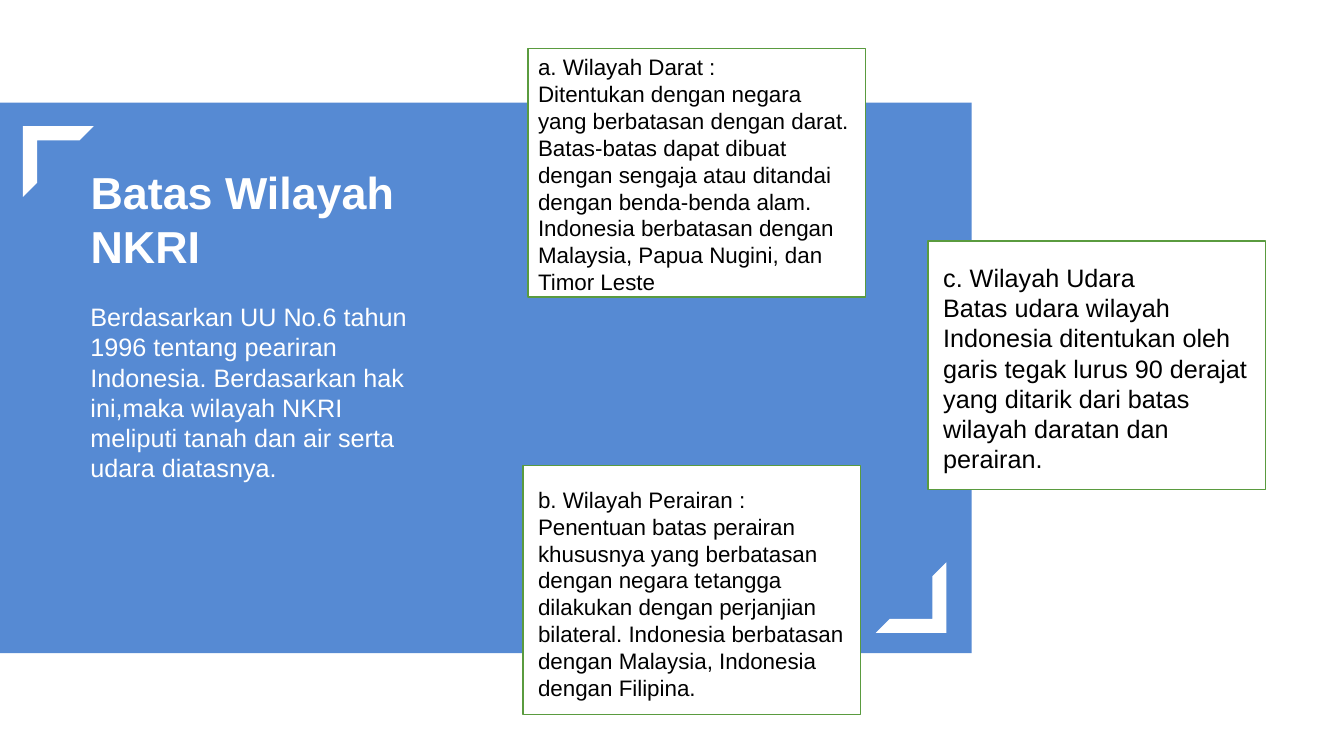
"""Build the slide on the borders of the territory of NKRI."""
import pptx
import pptx.util
from pptx.dml.color import RGBColor
from pptx.enum.shapes import MSO_SHAPE
from pptx.enum.text import MSO_ANCHOR, MSO_AUTO_SIZE, PP_ALIGN

Cm = pptx.util.Cm

BLUE, GREEN, WHITE, BLACK = "568AD3", "5A9B3F", "FFFFFF", "000000"
SLIDE_SIZE = (33.87, 19.05)
PANEL = (0, 2.59, 24.49, 13.87)
BRACKET_SIZE = 1.78
BRACKETS = [(0.58, 3.18, 0), (22.07, 14.17, 180)]
TITLE = "Batas Wilayah NKRI"
TITLE_PLACE = (2.03, 4.01, 9.53, 3)
INTRO = (
    "Berdasarkan UU No.6 tahun 1996 tentang peariran Indonesia. Berdasarkan hak "
    "ini,maka wilayah NKRI meliputi tanah dan air serta udara diatasnya."
)
INTRO_PLACE = (2.03, 7.47, 8.51, 4.88)
CARD_SIZE = (8.51, 6.27)
CARDS = [
    {
        "corner": (13.31, 1.22), "text_corner": (13.31, 1.22), "text_height": 6.4, "size": 16,
        "paragraphs": [
            "a. Wilayah Darat :\nDitentukan dengan negara yang berbatasan dengan darat. "
            "Batas-batas dapat dibuat dengan sengaja atau ditandai dengan benda-benda alam. "
            "Indonesia berbatasan dengan Malaysia, Papua Nugini, dan Timor Leste",
        ],
    },
    {
        "corner": (13.18, 11.73), "text_corner": (13.31, 12.12), "text_height": 5.74, "size": 16,
        "paragraphs": [
            "b. Wilayah Perairan :\nPenentuan batas perairan khususnya yang berbatasan dengan "
            "negara tetangga dilakukan dengan perjanjian bilateral. Indonesia berbatasan dengan "
            "Malaysia, Indonesia dengan Filipina.",
        ],
    },
    {
        "corner": (23.39, 6.07), "text_corner": (23.52, 6.48), "text_height": 5.64, "size": 18,
        "paragraphs": [
            "c. Wilayah Udara",
            "Batas udara wilayah Indonesia ditentukan oleh garis tegak lurus 90 derajat yang "
            "ditarik dari batas wilayah daratan dan perairan.",
        ],
    },
]


def color(value):
    return RGBColor.from_string(value)


def add_block(page, kind, place, fill, line=None):
    block = page.shapes.add_shape(kind, *map(Cm, place))
    block.shadow.inherit = False
    block.fill.solid()
    block.fill.fore_color.rgb = color(fill)
    if line:
        block.line.color.rgb = color(line)
        block.line.width = pptx.util.Pt(1)
    else:
        block.line.fill.background()
    return block


def write(box, paragraphs, size, ink, bold=False, anchor=MSO_ANCHOR.TOP):
    frame = box.text_frame
    frame.word_wrap = True
    frame.auto_size = MSO_AUTO_SIZE.NONE
    frame.vertical_anchor = anchor
    for index, text in enumerate(paragraphs):
        para = frame.add_paragraph() if index else frame.paragraphs[0]
        para.text = text
        para.alignment = PP_ALIGN.LEFT
        for span in para.runs:
            span.font.name = "Arial"
            span.font.size = pptx.util.Pt(size)
            span.font.bold = bold
            span.font.color.rgb = color(ink)


def main():
    deck = pptx.Presentation()
    deck.slide_width, deck.slide_height = map(Cm, SLIDE_SIZE)
    page = deck.slides.add_slide(deck.slide_layouts.get_by_name("Title Only"))

    panel = add_block(page, MSO_SHAPE.RECTANGLE, PANEL, BLUE)
    for left, top, angle in BRACKETS:
        place = (left, top, BRACKET_SIZE, BRACKET_SIZE)
        bracket = add_block(page, MSO_SHAPE.HALF_FRAME, place, WHITE)
        bracket.rotation = angle
        bracket.adjustments[0] = bracket.adjustments[1] = 0.2

    title = page.shapes.title
    title.left, title.top, title.width, title.height = map(Cm, TITLE_PLACE)
    write(title, [TITLE], 32, WHITE, bold=True, anchor=MSO_ANCHOR.MIDDLE)
    panel.element.addnext(title.element)

    intro = page.shapes.add_textbox(*map(Cm, INTRO_PLACE))
    write(intro, [INTRO], 18, WHITE)

    for card in CARDS:
        add_block(page, MSO_SHAPE.RECTANGLE, card["corner"] + CARD_SIZE, WHITE, GREEN)
        place = card["text_corner"] + (CARD_SIZE[0], card["text_height"])
        box = page.shapes.add_textbox(*map(Cm, place))
        write(box, card["paragraphs"], card["size"], BLACK)

    deck.save("out.pptx")


if __name__ == "__main__":
    main()
